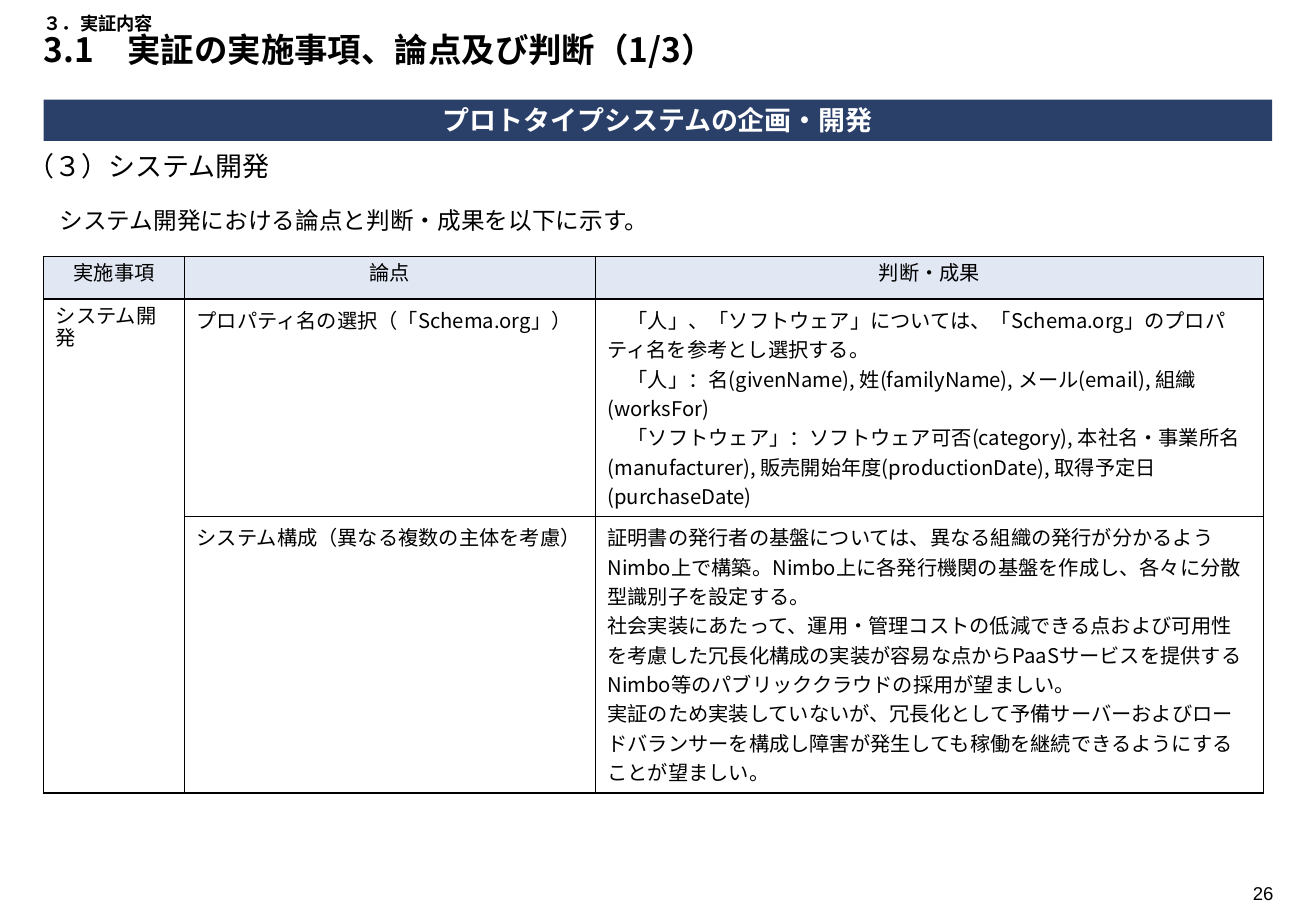
from dataclasses import dataclass

from lxml import etree
from pptx import Presentation
from pptx.dml.color import RGBColor
from pptx.enum.shapes import MSO_SHAPE
from pptx.enum.text import MSO_ANCHOR, PP_ALIGN
from pptx.oxml.ns import qn
from pptx.util import Inches, Pt

RECTANGLE = MSO_SHAPE.RECTANGLE
TOP, MIDDLE = MSO_ANCHOR.TOP, MSO_ANCHOR.MIDDLE
LEFT, CENTER, RIGHT = PP_ALIGN.LEFT, PP_ALIGN.CENTER, PP_ALIGN.RIGHT


@dataclass(frozen=True)
class Theme:
    ink: str = "000000"
    paper: str = "FFFFFF"
    banner: str = "2B4069"
    header: str = "E1E7F3"
    plain_font: str = "Arial"
    japanese_font: str = "Noto Sans CJK JP"
    chapter_size: float = 10.8
    title_size: float = 19.8
    heading_size: float = 16
    lead_size: float = 14
    table_size: float = 12
    number_size: float = 11
    border_width: float = 1


THEME = Theme()
SLIDE_WIDTH, SLIDE_HEIGHT = Inches(10.83), Inches(7.5)
MARGIN, BODY_WIDTH = 3.32, 93.35
COLUMN_WIDTHS = (10.71, 31.21, 50.78)
ROW_HEIGHTS = (4.67, 23.87, 30.4)

HEADERS = ("実施事項", "論点", "判断・成果")
TOPIC = "システム開発"
ISSUES = (
    ("プロパティ名の選択（「Schema.org」）", (
        "　「人」、「ソフトウェア」については、「Schema.org」のプロパティ名を参考とし選択する。",
        "　「人」：名(givenName), 姓(familyName), メール(email), 組織(worksFor)",
        "　「ソフトウェア」：ソフトウェア可否(category), 本社名・事業所名(manufacturer), "
        "販売開始年度(productionDate), 取得予定日(purchaseDate)",
    )),
    ("システム構成（異なる複数の主体を考慮）", (
        "証明書の発行者の基盤については、異なる組織の発行が分かるようNimbo上で構築。"
        "Nimbo上に各発行機関の基盤を作成し、各々に分散型識別子を設定する。",
        "社会実装にあたって、運用・管理コストの低減できる点および可用性を考慮した冗長化構成の実装が"
        "容易な点からPaaSサービスを提供するNimbo等のパブリッククラウドの採用が望ましい。",
        "実証のため実装していないが、冗長化として予備サーバーおよびロードバランサーを構成し"
        "障害が発生しても稼働を継続できるようにすることが望ましい。",
    )),
)


def across(percent):
    """Return a share of the slide's width."""
    return round(SLIDE_WIDTH * percent / 100)


def down(percent):
    """Return a share of the slide's height."""
    return round(SLIDE_HEIGHT * percent / 100)


def area(left, top, width, height):
    """Return a box given in percent of the slide."""
    return across(left), down(top), across(width), down(height)


def write(frame, *lines, size, font=THEME.japanese_font, color=THEME.ink,
          bold=False, align=LEFT, spacing=1.0):
    """Write each line as a paragraph at the end of a text frame."""
    for line in lines:
        paragraph = frame.paragraphs[0] if not frame.text else frame.add_paragraph()
        paragraph.alignment = align
        paragraph.line_spacing = spacing
        run = paragraph.add_run()
        run.text = line
        run.font.size = Pt(size)
        run.font.bold = bold
        run.font.name = font
        run.font.color.rgb = RGBColor.from_string(color)
        latin = run.font._element.find(qn("a:latin"))
        east_asian = etree.Element(qn("a:ea"), typeface=font)
        latin.addnext(east_asian)


def add_text_box(slide, box, side_inset=0.0):
    """Add a wrapping text box and return its frame."""
    frame = slide.shapes.add_textbox(*area(*box)).text_frame
    frame.word_wrap = True
    frame.vertical_anchor = TOP
    frame.margin_left = frame.margin_right = Inches(side_inset)
    return frame


def add_banner(slide, box, text):
    """Add a filled bar with centred text."""
    shape = slide.shapes.add_shape(RECTANGLE, *area(*box))
    shape.shadow.inherit = False
    shape.fill.solid()
    shape.fill.fore_color.rgb = RGBColor.from_string(THEME.banner)
    shape.line.fill.background()
    frame = shape.text_frame
    frame.word_wrap = True
    frame.vertical_anchor = MIDDLE
    frame.margin_left = frame.margin_right = Inches(0.04)
    frame.margin_top = frame.margin_bottom = Inches(0.04)
    write(frame, text, size=THEME.heading_size, font=THEME.plain_font,
          color=THEME.paper, bold=True, align=CENTER)


def style_cell(cell, fill):
    """Fill a cell and draw its four borders."""
    properties = cell._tc.get_or_add_tcPr()
    for side in ("lnL", "lnR", "lnT", "lnB"):
        border = etree.SubElement(properties, qn(f"a:{side}"), w=str(Pt(THEME.border_width)))
        solid = etree.SubElement(border, qn("a:solidFill"))
        etree.SubElement(solid, qn("a:srgbClr"), val=THEME.ink)
    cell.fill.solid()
    cell.fill.fore_color.rgb = RGBColor.from_string(fill)


def add_issue_table(slide, left, top):
    """Add the table of issues and decisions."""
    box = area(left, top, sum(COLUMN_WIDTHS), sum(ROW_HEIGHTS))
    table = slide.shapes.add_table(len(ROW_HEIGHTS), len(COLUMN_WIDTHS), *box).table
    table.first_row = table.horz_banding = False
    for column, width in zip(table.columns, COLUMN_WIDTHS):
        column.width = across(width)
    for index, (row, height) in enumerate(zip(table.rows, ROW_HEIGHTS)):
        row.height = down(height)
        for cell in row.cells:
            style_cell(cell, THEME.paper if index else THEME.header)
    for column, header in enumerate(HEADERS):
        write(table.cell(0, column).text_frame, header, size=THEME.table_size,
              font=THEME.plain_font, align=CENTER)
    table.cell(1, 0).merge(table.cell(len(ISSUES), 0))
    write(table.cell(1, 0).text_frame, TOPIC, size=THEME.table_size, font=THEME.plain_font)
    for row, (issue, decisions) in enumerate(ISSUES, start=1):
        write(table.cell(row, 1).text_frame, issue, size=THEME.table_size)
        write(table.cell(row, 2).text_frame, *decisions, size=THEME.table_size)


def main():
    """Build the slide and save it."""
    presentation = Presentation()
    presentation.slide_width, presentation.slide_height = SLIDE_WIDTH, SLIDE_HEIGHT
    slide = presentation.slides.add_slide(presentation.slide_layouts[6])

    title = add_text_box(slide, (MARGIN, 1.07, BODY_WIDTH, 9.6))
    write(title, "３．実証内容", size=THEME.chapter_size, bold=True, spacing=0.87)
    write(title, "3.1　実証の実施事項、論点及び判断（1/3）",
          size=THEME.title_size, bold=True, spacing=0.87)
    add_banner(slide, (MARGIN, 10.93, BODY_WIDTH, 4.53), "プロトタイプシステムの企画・開発")
    heading = add_text_box(slide, (1.2, 16.13, 50, 4.93), side_inset=0.1)
    write(heading, "（３）システム開発", size=THEME.heading_size, spacing=0.9)
    lead = add_text_box(slide, (4.52, 22.27, BODY_WIDTH, 4.53))
    write(lead, "システム開発における論点と判断・成果を以下に示す。",
          size=THEME.lead_size, spacing=0.9)
    add_issue_table(slide, MARGIN, 28.13)
    number = add_text_box(slide, (92.34, 96.13, 4.43, 3.87))
    write(number, "26", size=THEME.number_size, font=THEME.plain_font, align=RIGHT)
    number.word_wrap = True

    presentation.save("out.pptx")


if __name__ == "__main__":
    main()
